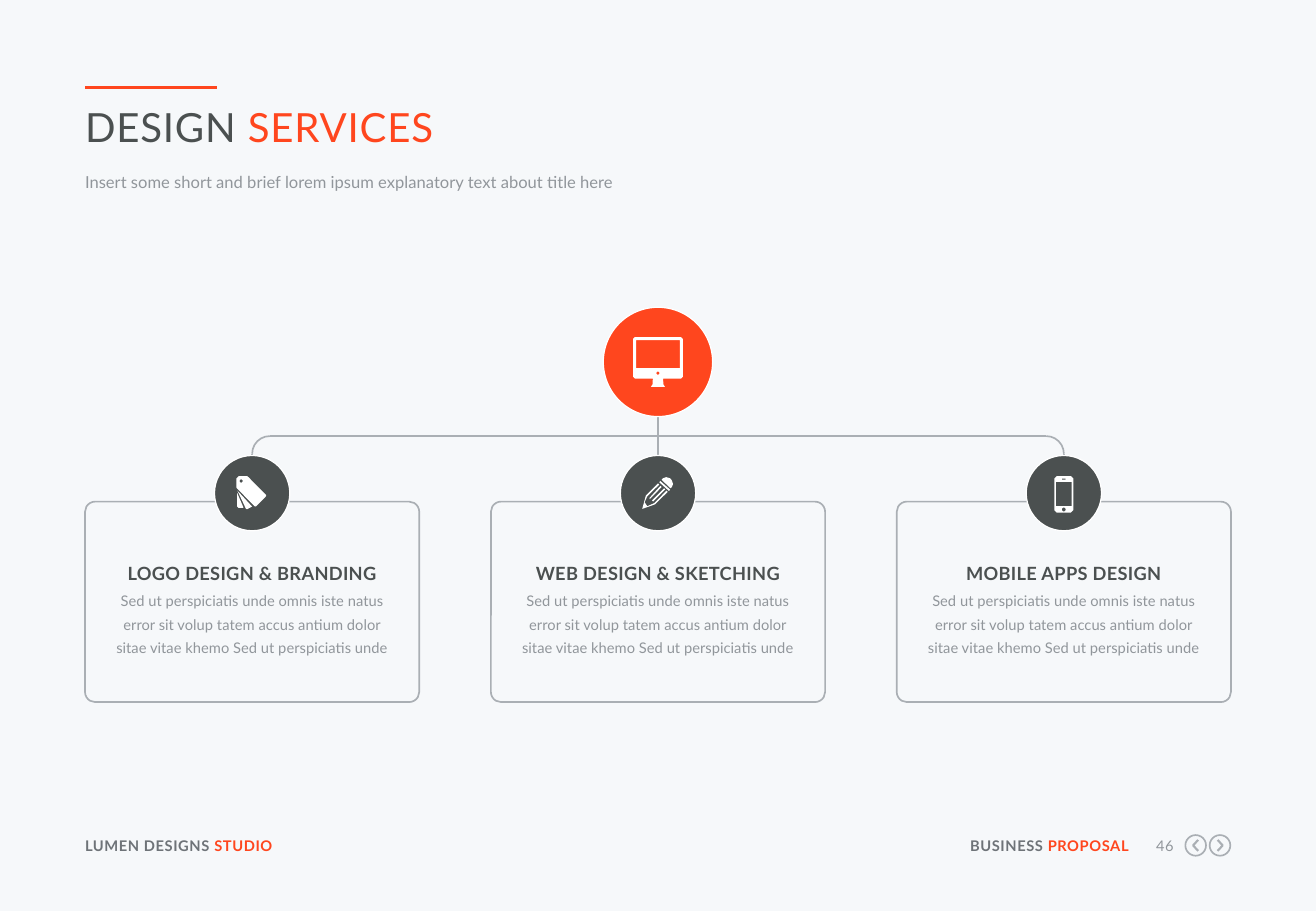
from math import cos, pi, sin

from lxml import etree
from pptx import Presentation
from pptx.dml.color import RGBColor
from pptx.enum.shapes import MSO_CONNECTOR, MSO_SHAPE
from pptx.enum.text import MSO_ANCHOR, MSO_AUTO_SIZE, PP_ALIGN
from pptx.oxml.ns import qn
from pptx.util import Inches, Pt

STRAIGHT = MSO_CONNECTOR.STRAIGHT
ARC, OVAL, ROUNDED = MSO_SHAPE.ARC, MSO_SHAPE.OVAL, MSO_SHAPE.ROUNDED_RECTANGLE
LEFT, CENTER, RIGHT = PP_ALIGN.LEFT, PP_ALIGN.CENTER, PP_ALIGN.RIGHT

PAPER = RGBColor(0xF6, 0xF8, 0xFA)
ORANGE = RGBColor(0xFF, 0x46, 0x1E)
DARK = RGBColor(0x4B, 0x50, 0x50)
SLATE = RGBColor(0x6E, 0x73, 0x78)
GREY = RGBColor(0x91, 0x96, 0x9B)
RULE = RGBColor(0xAA, 0xAF, 0xB4)
WHITE = RGBColor(0xFF, 0xFF, 0xFF)

TITLE = [("DESIGN", DARK), (" SERVICES", ORANGE)]
SUBTITLE = "Insert some short and brief lorem ipsum explanatory text about title here"
STUDIO = [("LUMEN DESIGNS ", SLATE), ("STUDIO", ORANGE)]
DOCUMENT = [("BUSINESS ", SLATE), ("PROPOSAL", ORANGE)]
PAGE = "46"
BLURB = ("Sed ut perspiciatis unde omnis iste natus error sit volup tatem accus "
         "antium dolor sitae vitae khemo Sed ut perspiciatis unde")


def box(left, top, right, bottom, cut=0):
    return [(left + cut, top), (right - cut, top), (right, top + cut),
            (right, bottom - cut), (right - cut, bottom), (left + cut, bottom),
            (left, bottom - cut), (left, top + cut)]


def dot(x, y, radius):
    return [(x + radius * cos(i * pi / 8), y + radius * sin(i * pi / 8))
            for i in range(16)]


MONITOR = [
    [(-190, -205), (190, -205), (205, -190), (205, 122), (190, 137), (42, 137),
     (45, 185), (58, 205), (-58, 205), (-45, 185), (-42, 137), (-190, 137),
     (-205, 122), (-205, -190)],
    box(-180, -180, 180, 50), dot(0, 92, 13),
]
SWATCHES = [
    [(-130, -50), (-130, -120), (-110, -140), (-40, -140), (-30, -132),
     (115, 15), (115, 25), (32, 110), (22, 108), (-125, -40)],
    [(-120, -20), (0, 110), (-40, 132), (-50, 130)],
    [(-122, 0), (-70, 120), (-110, 122), (-122, 110)],
    dot(-90, -100, 13),
]
PENCIL = [
    [(-130, 130), (-100, 20), (0, -80), (10, -70), (-88, 26), (-110, 75),
     (-88, 108), (-30, 82), (70, -20), (80, -10), (-26, 93)],
    [(-70, 40), (20, -60), (30, -50), (-68, 50)],
    [(-50, 60), (50, -40), (60, -30), (-40, 70)],
    [(10, -90), (20, -100), (100, -28), (90, -18)],
    [(30, -110), (40, -122), (68, -132), (100, -122), (114, -105),
     (124, -75), (114, -50), (102, -40)],
]
PHONE = [
    box(-78, -140, 78, 160, 20), box(-65, -92, 65, 108),
    dot(0, 135, 16), box(-15, -120, 15, -112),
]
SERVICES = [
    ("LOGO DESIGN & BRANDING", SWATCHES),
    ("WEB DESIGN & SKETCHING", PENCIL),
    ("MOBILE APPS DESIGN", PHONE),
]

WIDTH, HEIGHT = 10.83, 7.5
MID = WIDTH / 2
MARGIN = 0.7
CARD_W, CARD_H, CARD_TOP = 2.75, 1.65, 4.13
PITCH = (WIDTH - 2 * MARGIN - CARD_W) / (len(SERVICES) - 1)
CENTERS = [MARGIN + CARD_W / 2 + i * PITCH for i in range(len(SERVICES))]
HUB_Y, HUB_D = 2.98, 0.9
BADGE_Y, BADGE_D = 4.06, 0.62
BUS_Y, BEND = 3.59, 0.29
FOOT_Y, FOOT_H = 6.89, 0.15
ARROWS = [(9.84, -1), (10.04, 1)]

prs = Presentation()
prs.slide_width, prs.slide_height = Inches(WIDTH), Inches(HEIGHT)
s = prs.slides.add_slide(prs.slide_layouts[5])
s.background.fill.solid()
s.background.fill.fore_color.rgb = PAPER


def write(sp, runs, size, align=LEFT, bold=False, spacing=0, leading=None,
          anchor=MSO_ANCHOR.TOP):
    tf = sp.text_frame
    tf.margin_left = tf.margin_right = tf.margin_top = tf.margin_bottom = 0
    tf.word_wrap = True
    tf.auto_size = MSO_AUTO_SIZE.NONE
    tf.vertical_anchor = anchor
    p = tf.paragraphs[0]
    p.alignment = align
    if leading:
        p.line_spacing = Pt(leading)
    for text, color in runs:
        r = p.add_run()
        r.text = text
        r.font.name, r.font.size, r.font.bold = "Lato", Pt(size), bold
        r.font.color.rgb = color
        r.font._element.set("spc", str(round(spacing * 100)))


def label(x, y, w, h, runs, size, **style):
    sp = s.shapes.add_textbox(Inches(x), Inches(y), Inches(w), Inches(h))
    write(sp, runs, size, **style)


def paint(sp, fill=None, line=None, width=1):
    sp.shadow.inherit = False
    if fill is None:
        sp.fill.background()
    else:
        sp.fill.solid()
        sp.fill.fore_color.rgb = fill
    if line is None:
        sp.line.fill.background()
    else:
        sp.line.color.rgb = line
        sp.line.width = Pt(width)


def shape(kind, x, y, w, h, **look):
    sp = s.shapes.add_shape(kind, Inches(x), Inches(y), Inches(w), Inches(h))
    paint(sp, **look)
    return sp


def disc(x, y, d, **look):
    shape(OVAL, x - d / 2, y - d / 2, d, d, **look)


def rule(x1, y1, x2, y2, color=RULE, width=1):
    c = s.shapes.add_connector(STRAIGHT, Inches(x1), Inches(y1), Inches(x2), Inches(y2))
    c.line.color.rgb = color
    c.line.width = Pt(width)
    etree.SubElement(c._element.spPr, qn("a:effectLst"))


def outline(x, y, contours, close=True, **look):
    first, *others = contours
    fb = s.shapes.build_freeform(*first[0], scale=914.4 * 1000 / 914.4 and 1000 / 0.914)
    fb = s.shapes.build_freeform(*first[0], scale=914.4)
    fb.add_line_segments(first[1:], close=close)
    for contour in others:
        fb.move_to(*contour[0])
        fb.add_line_segments(contour[1:], close=close)
    paint(fb.convert_to_shape(Inches(x), Inches(y)), **look)


rule(MARGIN, 0.72, MARGIN + 1.09, 0.72, ORANGE, 2.25)
title = s.shapes.title
title.left, title.top = Inches(MARGIN), Inches(0.84)
title.width, title.height = Inches(WIDTH - 2 * MARGIN), Inches(0.41)
write(title, TITLE, 23.8, spacing=0.5, anchor=MSO_ANCHOR.MIDDLE)
label(MARGIN, 1.4, WIDTH - 2 * MARGIN, 0.21, [(SUBTITLE, GREY)], 9.8, leading=13)

first_x, last_x = CENTERS[0], CENTERS[-1]
for x, start, end in [(first_x, 108, 162), (last_x - BEND, 162, 0)]:
    bend = shape(ARC, x, BUS_Y, BEND, BEND, line=RULE)
    bend.adjustments[0], bend.adjustments[1] = start, end
for x in (first_x, last_x):
    rule(x, BUS_Y + BEND / 2, x, BADGE_Y - BADGE_D / 2)
rule(first_x + BEND / 2, BUS_Y, last_x - BEND / 2, BUS_Y)
rule(MID, HUB_Y + HUB_D / 2, MID, BADGE_Y - BADGE_D / 2)
disc(MID, HUB_Y, HUB_D, fill=ORANGE, line=WHITE, width=0.75)
outline(MID, HUB_Y, MONITOR, fill=WHITE)

for x, (name, icon) in zip(CENTERS, SERVICES):
    card = shape(ROUNDED, x - CARD_W / 2, CARD_TOP, CARD_W, CARD_H, line=RULE)
    card.adjustments[0] = 0.05
    disc(x, BADGE_Y, BADGE_D, fill=DARK, line=WHITE, width=0.75)
    outline(x, BADGE_Y, icon, fill=WHITE)
    label(x - 1.2, 4.55, 2.4, 0.25, [(name, DARK)], 10.8,
          align=CENTER, bold=True, spacing=0.2, leading=18.4)
    label(x - 1.2, 4.82, 2.4, 0.59, [(BLURB, GREY)], 8.7, align=CENTER, leading=14.1)

label(MARGIN, FOOT_Y, 2.11, FOOT_H, STUDIO, 8.7, bold=True, spacing=0.3)
label(7.92, FOOT_Y, 1.37, FOOT_H, DOCUMENT, 8.7, align=RIGHT, bold=True, spacing=0.3)
label(9.41, FOOT_Y, 0.25, FOOT_H, [(PAGE, GREY)], 8.7, align=RIGHT, spacing=0.3)
for x, way in ARROWS:
    disc(x, 6.96, 0.17, line=RULE)
    chevron = [(-20 * way, -45), (22 * way, 0), (-20 * way, 45)]
    outline(x, 6.96, [chevron], close=False, line=RULE, width=1.25)

prs.save("out.pptx")
